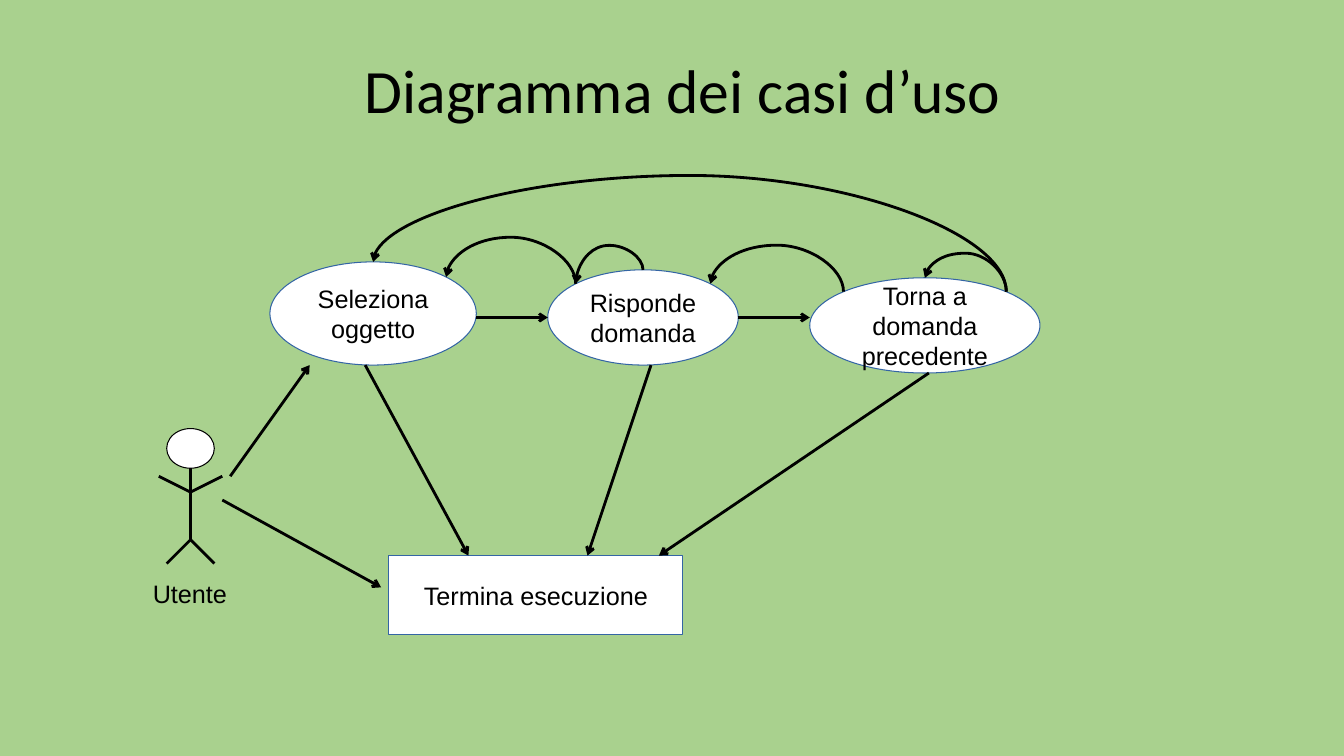
from math import cos, radians, sin

from lxml import etree
from pptx import Presentation
from pptx import util as u
from pptx.dml.color import RGBColor
from pptx.enum import shapes, text
from pptx.oxml.ns import qn

GREEN = RGBColor(0xA9, 0xD1, 0x8E)
WHITE = RGBColor(0xFF, 0xFF, 0xFF)
BLACK = RGBColor(0, 0, 0)
BLUE = RGBColor(0x34, 0x65, 0xA4)
CELL_MM = 2
UP, UP_RIGHT, UP_LEFT = 90, 45, 135

SELECT = (34, 33, 26, 13)
ANSWER = (69, 34, 24, 12)
GO_BACK = (102, 35, 29, 12)
FINISH = (49, 70, 37, 10)
HEAD = (21, 54, 6, 5)
USER_LABEL = (18, 72.3, 12, 4.8)

LIMBS = [((24, 59), (24, 68)), ((24, 62), (28, 60)), ((24, 62), (20, 60)),
         ((24, 68), (27, 71)), ((24, 68), (21, 71))]
FLOWS = [((28, 63), (48, 74)), ((29, 60), (39, 46)), ((60, 40), (69, 40)),
         ((93, 40), (102, 40)), ((46, 46), (59, 70)), ((82, 46), (74, 70)),
         ((117, 47), (83, 70))]
RETURNS = [(GO_BACK, UP_RIGHT, GO_BACK, UP, 31.9),
           (ANSWER, UP, ANSWER, UP_LEFT, 30.9),
           (GO_BACK, UP_RIGHT, SELECT, UP, 22.1),
           (GO_BACK, UP_LEFT, ANSWER, UP_RIGHT, 30.9),
           (ANSWER, UP_LEFT, SELECT, UP_RIGHT, 29.9)]


def grid(*cells):
    """Convert grid cells to lengths."""
    return [u.Mm(CELL_MM * cell) for cell in cells]


def write(frame, lines, size=18, font="Arial", align=text.PP_ALIGN.CENTER,
          anchor=text.MSO_ANCHOR.MIDDLE, wrap=False, spacing=None):
    """Fill a text frame with one formatted paragraph per line."""
    frame.word_wrap = wrap
    frame.vertical_anchor = anchor
    for index, line in enumerate(lines):
        paragraph = frame.add_paragraph() if index else frame.paragraphs[0]
        paragraph.alignment = align
        paragraph.line_spacing = spacing
        run = paragraph.add_run()
        run.text = line
        run.font.size = u.Pt(size)
        run.font.name = font
        run.font.color.rgb = BLACK


def add_node(slide, kind, area, outline, lines=()):
    """Add a white outlined node with optional text."""
    node = slide.shapes.add_shape(kind, *grid(*area))
    node.shadow.inherit = False
    node.fill.solid()
    node.fill.fore_color.rgb = WHITE
    node.line.color.rgb = outline
    node.line.width = 0
    write(node.text_frame, lines)


def add_line(slide, start, end, arrow=True, kind=shapes.MSO_CONNECTOR.STRAIGHT):
    """Add a black hairline, with an arrowhead at its end if wanted."""
    line = slide.shapes.add_connector(kind, *grid(*start, *end))
    line.line.color.rgb = BLACK
    line.line.width = 0
    if arrow:
        etree.SubElement(line.line._get_or_add_ln(), qn("a:tailEnd"), type="arrow")
    etree.SubElement(line._element.spPr, qn("a:effectLst"))
    return line


def rim_point(oval, angle):
    """Return the point of an oval's rim at an angle in degrees."""
    left, top, width, height = oval
    return (left + width / 2 * (1 + cos(radians(angle))),
            top + height / 2 * (1 - sin(radians(angle))))


def add_return(slide, source, source_angle, target, target_angle, peak):
    """Add an arrow that arches leftwards between two ovals up to a peak row."""
    start = rim_point(source, source_angle)
    end = rim_point(target, target_angle)
    arch = add_line(slide, start, end, kind=shapes.MSO_CONNECTOR.CURVE)
    run, rise = start[0] - end[0], start[1] - end[1]
    thickness = abs(rise)
    arch.left, arch.top, arch.width, arch.height = grid(
        (start[0] + end[0] - thickness) / 2, (start[1] + end[1] - run) / 2,
        thickness, run)
    frame = arch._element.spPr.find(qn("a:xfrm"))
    frame.set("rot", str(270 * 60000))
    frame.set("flipH", "1" if rise < 0 else "0")
    frame.set("flipV", "1")
    bend = round((start[1] - peak) / rise * 100000)
    geometry = arch._element.spPr.find(qn("a:prstGeom"))
    etree.SubElement(geometry.find(qn("a:avLst")), qn("a:gd"),
                     name="adj1", fmla=f"val {bend}")


def add_user(slide):
    """Add the labelled stick figure."""
    add_node(slide, shapes.MSO_SHAPE.OVAL, HEAD, BLACK)
    for start, end in LIMBS:
        add_line(slide, start, end, arrow=False)
    label = slide.shapes.add_textbox(*grid(*USER_LABEL))
    write(label.text_frame, ["Utente"], align=text.PP_ALIGN.LEFT,
          anchor=text.MSO_ANCHOR.TOP)


def main():
    """Build the use case diagram."""
    deck = Presentation()
    deck.slide_width, deck.slide_height = u.Inches(13.33), u.Inches(7.5)
    slide = deck.slides.add_slide(deck.slide_layouts[5])
    slide.background.fill.solid()
    slide.background.fill.fore_color.rgb = GREEN

    title = slide.shapes.title
    title.left, title.top, title.width, title.height = grid(23, 3, 126, 17.5)
    write(title.text_frame, ["Diagramma dei casi d’uso"], size=44,
          font="Calibri", wrap=True, spacing=0.9)

    for area, lines in ((SELECT, ["Seleziona", "oggetto"]),
                        (ANSWER, ["Risponde", "domanda"]),
                        (GO_BACK, ["Torna a", "domanda", "precedente"])):
        add_node(slide, shapes.MSO_SHAPE.OVAL, area, BLUE, lines)
    add_node(slide, shapes.MSO_SHAPE.RECTANGLE, FINISH, BLUE, ["Termina esecuzione"])
    add_user(slide)
    for start, end in FLOWS:
        add_line(slide, start, end)
    for route in RETURNS:
        add_return(slide, *route)
    deck.save("out.pptx")


if __name__ == "__main__":
    main()
